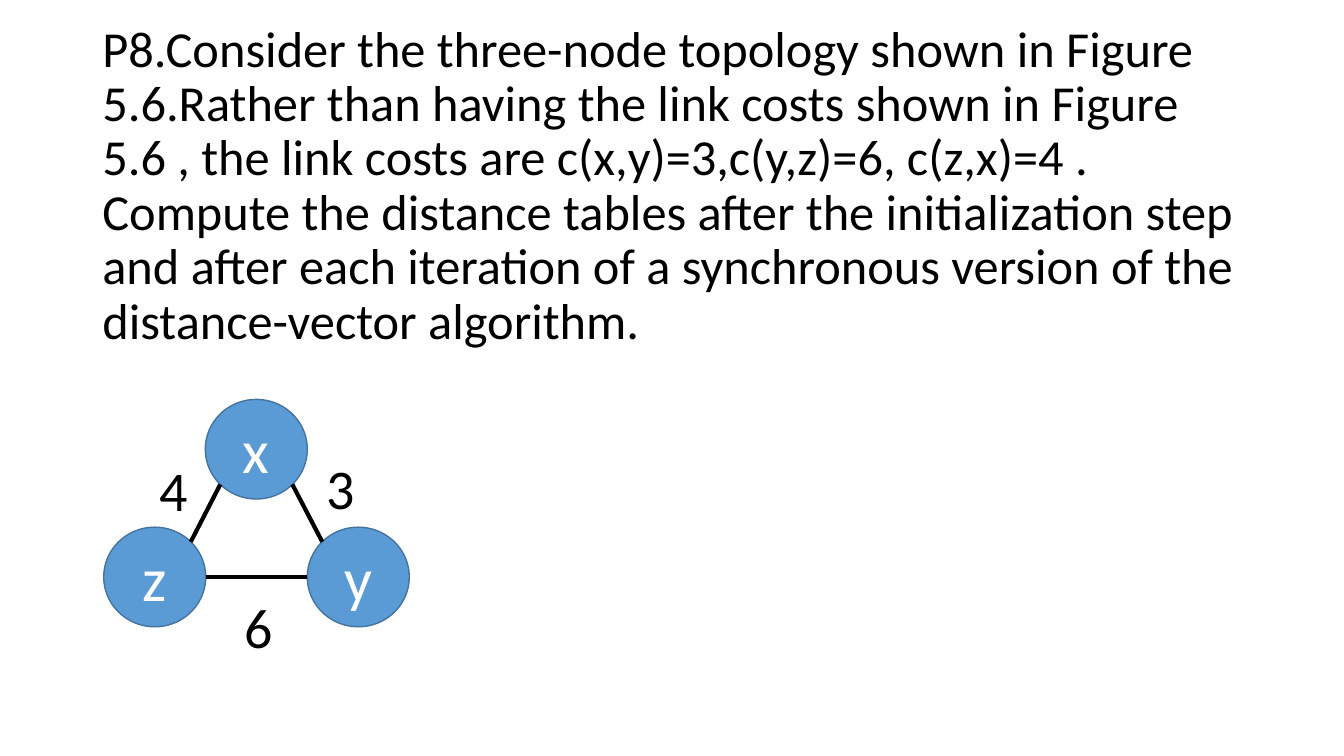
from math import cos, radians, sin

from lxml import etree
from pptx import Presentation
from pptx.dml.color import RGBColor as Rgb
from pptx.enum.shapes import MSO_CONNECTOR as Link, MSO_SHAPE as Kind
from pptx.enum.text import MSO_ANCHOR as Anchor, PP_ALIGN as Align
from pptx.oxml.ns import qn
from pptx.util import Cm, Pt

HUES = {"ink": "000000", "node": "5B9BD5", "rim": "43739E", "light": "FFFFFF"}
WIDE, HIGH = 2.57, 2.51  # node size in cm


def hue(name):
    return Rgb.from_string(HUES[name])


def write(shape, text, size, color, anchor, align=Align.LEFT):
    frame = shape.text_frame
    frame.word_wrap = True
    frame.vertical_anchor = anchor
    para = frame.paragraphs[0]
    para.alignment = align
    run = para.add_run()
    run.text = text
    run.font.name = "Calibri"
    run.font.size = Pt(size)
    run.font.color.rgb = hue(color)
    return para


deck = Presentation()
deck.slide_width, deck.slide_height = Cm(33.87), Cm(19.05)
slide = deck.slides.add_slide(deck.slide_layouts[6])
shapes = slide.shapes

# Problem text
task = (
    "P8.Consider the three-node topology shown in Figure 5.6."
    "Rather than having the link costs shown in Figure 5.6 , "
    "the link costs are c(x,y)=3,c(y,z)=6, c(z,x)=4 . "
    "Compute the distance tables after the initialization step and after "
    "each iteration of a synchronous version of the distance-vector algorithm."
)
box = shapes.add_textbox(Cm(2.33), Cm(2.87), Cm(29.21), Cm(3.68))
write(box, task, 36, "ink", Anchor.MIDDLE).line_spacing = 0.9

# Nodes, by centre in cm
nodes = {"x": (6.46, 11.32), "z": (3.9, 14.54), "y": (9.03, 14.54)}
for name, (mid, row) in nodes.items():
    node = shapes.add_shape(
        Kind.OVAL, Cm(mid - WIDE / 2), Cm(row - HIGH / 2), Cm(WIDE), Cm(HIGH)
    )
    node.shadow.inherit = False
    node.fill.solid()
    node.fill.fore_color.rgb = hue("node")
    node.line.color.rgb = hue("rim")
    node.line.width = Pt(1)
    write(node, name, 44, "light", Anchor.MIDDLE, Align.CENTER)

# Links: each end is a node and the angle where the line meets its rim
links = [
    (("x", 45), ("y", 225)),
    (("z", 0), ("y", 180)),
    (("z", 315), ("x", 135)),
]
for ends in links:
    spots = []
    for name, turn in ends:
        mid, row = nodes[name]
        spots.append(Cm(mid + WIDE / 2 * cos(radians(turn))))
        spots.append(Cm(row + HIGH / 2 * sin(radians(turn))))
    line = shapes.add_connector(Link.STRAIGHT, *spots)
    line.line.color.rgb = hue("ink")
    line.line.width = Pt(3)
    etree.SubElement(line._element.spPr, qn("a:effectLst"))

# Link costs
for cost, left, top in [("3", 7.98, 11.3), ("6", 5.92, 14.81), ("4", 3.78, 11.35)]:
    box = shapes.add_textbox(Cm(left), Cm(top), Cm(1.04), Cm(1.96))
    write(box, cost, 40, "ink", Anchor.TOP)

deck.save("out.pptx")
